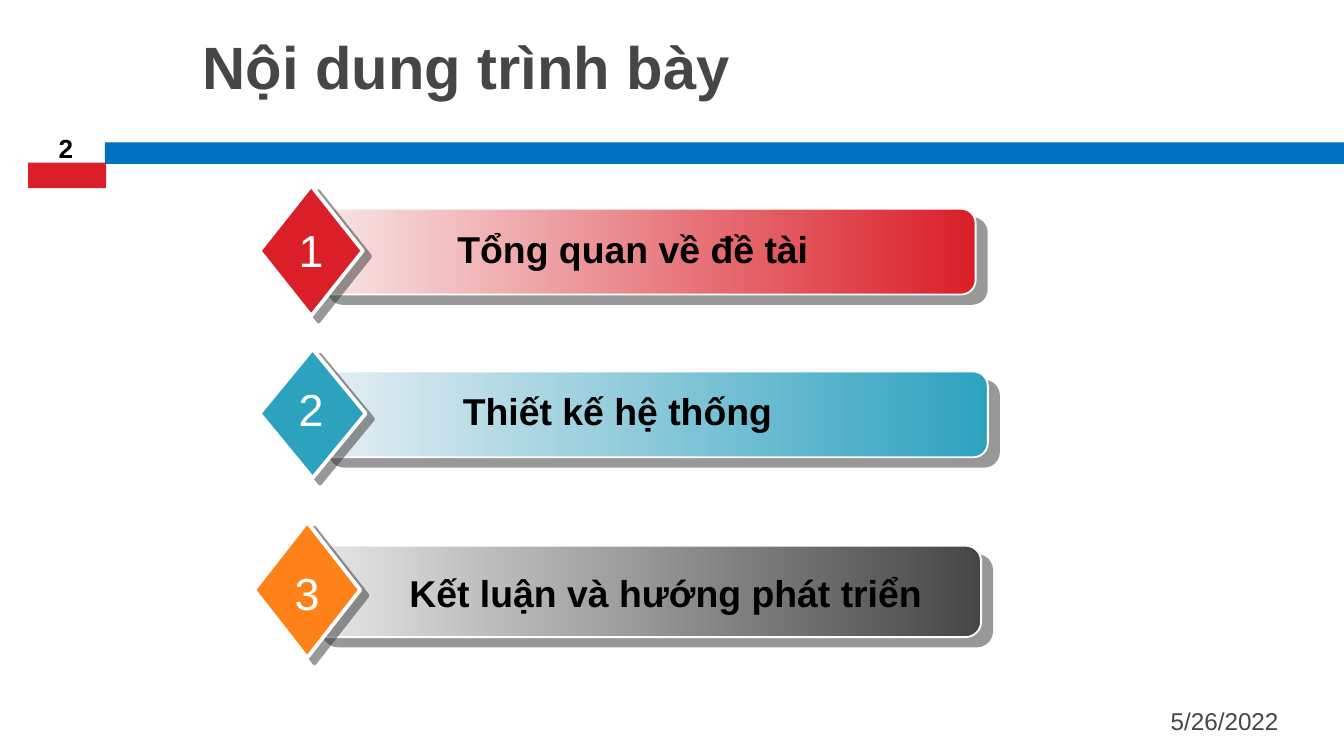
from lxml.etree import SubElement
from pptx import Presentation
from pptx.dml.color import RGBColor
from pptx.enum.shapes import MSO_SHAPE
from pptx.enum.text import MSO_ANCHOR, PP_ALIGN
from pptx.oxml.ns import qn
from pptx.util import Pt

COLORS = {
    "red": "DA1F28", "pale_red": "F8E6E6",
    "teal": "2DA2BF", "pale_teal": "E6EFF3",
    "gray": "464646", "pale_gray": "E7E7E7",
    "orange": "FF8119", "blue": "0070C0",
    "black": "000000", "white": "FFFFFF", "shadow": "333333",
}
RULES = [
    ("red", (15.1, 87.1, 41.8, 13.7)),
    ("blue", (56.2, 76.3, 664.4, 11.5)),
]
LABELS = [
    ("Nội dung trình bày", (101.5, 9.4, 607.7, 64), 32, "gray", True,
     PP_ALIGN.LEFT, MSO_ANCHOR.TOP, 6.6),
    ("5/26/2022", (481.7, 375.1, 210.2, 21.6), 13, "gray", False,
     PP_ALIGN.RIGHT, MSO_ANCHOR.MIDDLE, 3.6),
    ("2", (14.4, 66.2, 41.8, 25.2), 14, "black", True,
     PP_ALIGN.CENTER, MSO_ANCHOR.BOTTOM, 3.6),
]
AGENDA = [
    {"number": "1", "topic": "Tổng quan về đề tài",
     "gradient": ("pale_red", "red"), "marker": "red",
     "bar_box": (169.9, 111.8, 352.8, 46), "marker_box": (139, 99.5, 55.4, 69.8),
     "topic_box": (188.6, 117.4, 301, 31.7), "number_box": (149, 116, 35.3, 36)},
    {"number": "2", "topic": "Thiết kế hệ thống",
     "gradient": ("pale_teal", "teal"), "marker": "teal",
     "bar_box": (170.6, 199, 358.6, 46), "marker_box": (139, 187, 56.9, 69.1),
     "topic_box": (189.4, 204.5, 283, 31.7), "number_box": (151.9, 201, 29.5, 46)},
    {"number": "3", "topic": "Kết luận và hướng phát triển",
     "gradient": ("pale_gray", "gray"), "marker": "orange",
     "bar_box": (167, 292.3, 358.6, 49), "marker_box": (136.1, 279.7, 56.9, 72.7),
     "topic_box": (190.8, 301.7, 331.9, 31.7), "number_box": (148.3, 299.5, 32.4, 36)},
]


def rgb(name):
    return RGBColor.from_string(COLORS[name])


def add_text(shapes, text, box, size, color, bold=False, align=PP_ALIGN.CENTER,
             anchor=MSO_ANCHOR.TOP, top_inset=3.6):
    frame = shapes.add_textbox(*map(Pt, box)).text_frame
    frame.word_wrap = True
    frame.vertical_anchor = anchor
    frame.margin_top = Pt(top_inset)
    paragraph = frame.paragraphs[0]
    paragraph.alignment = align
    run = paragraph.add_run()
    run.text = text
    run.font.name = "Arial"
    run.font.size = Pt(size)
    run.font.bold = bold
    run.font.color.rgb = rgb(color)


def add_shape(shapes, kind, box, fill, line_width=0):
    shape = shapes.add_shape(kind, *map(Pt, box))
    shape.shadow.inherit = False
    if isinstance(fill, tuple):
        shape.fill.gradient()
        shape.fill.gradient_angle = 0
        for stop, color in zip(shape.fill.gradient_stops, fill):
            stop.color.rgb = rgb(color)
    else:
        shape.fill.solid()
        shape.fill.fore_color.rgb = rgb(fill)
    if line_width:
        shape.line.color.rgb = rgb("white")
        shape.line.width = Pt(line_width)
    else:
        shape.line.fill.background()
    return shape


def add_shadow(shape, distance, degrees):
    effects = shape._element.spPr.find(qn("a:effectLst"))
    shadow = SubElement(effects, qn("a:outerShdw"), blurRad="0", dist=str(Pt(distance)),
                        dir=str(degrees * 60000), algn="ctr", rotWithShape="0")
    color = SubElement(shadow, qn("a:srgbClr"), val=COLORS["shadow"])
    SubElement(color, qn("a:alpha"), val="50000")


def add_agenda_item(slide, item):
    shapes = slide.shapes.add_group_shape().shapes
    bar = add_shape(shapes, MSO_SHAPE.ROUNDED_RECTANGLE, item["bar_box"], item["gradient"], 1)
    bar.adjustments[0] = 0.17
    add_shadow(bar, 7.8, 40)
    marker = add_shape(shapes, MSO_SHAPE.DIAMOND, item["marker_box"], item["marker"], 2)
    add_shadow(marker, 5, 37)
    add_text(shapes, item["topic"], item["topic_box"], 20, "black", bold=True)
    add_text(shapes, item["number"], item["number_box"], 24, "white")


def main():
    presentation = Presentation()
    presentation.slide_width, presentation.slide_height = Pt(720), Pt(405)
    slide = presentation.slides.add_slide(presentation.slide_layouts[6])
    for color, box in RULES:
        add_shape(slide.shapes, MSO_SHAPE.RECTANGLE, box, color)
    for label in LABELS:
        add_text(slide.shapes, *label)
    for item in AGENDA:
        add_agenda_item(slide, item)
    presentation.save("out.pptx")


if __name__ == "__main__":
    main()
